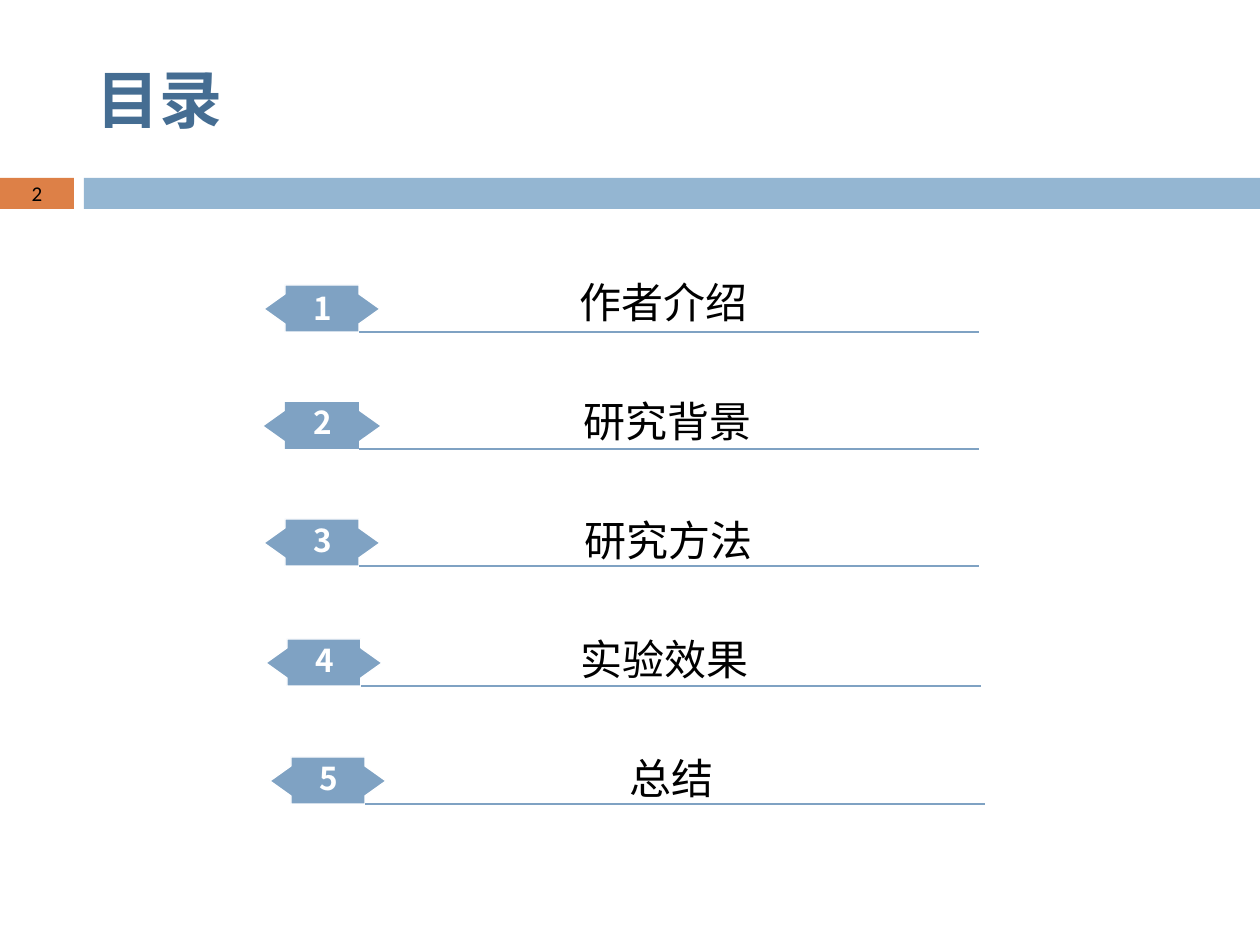
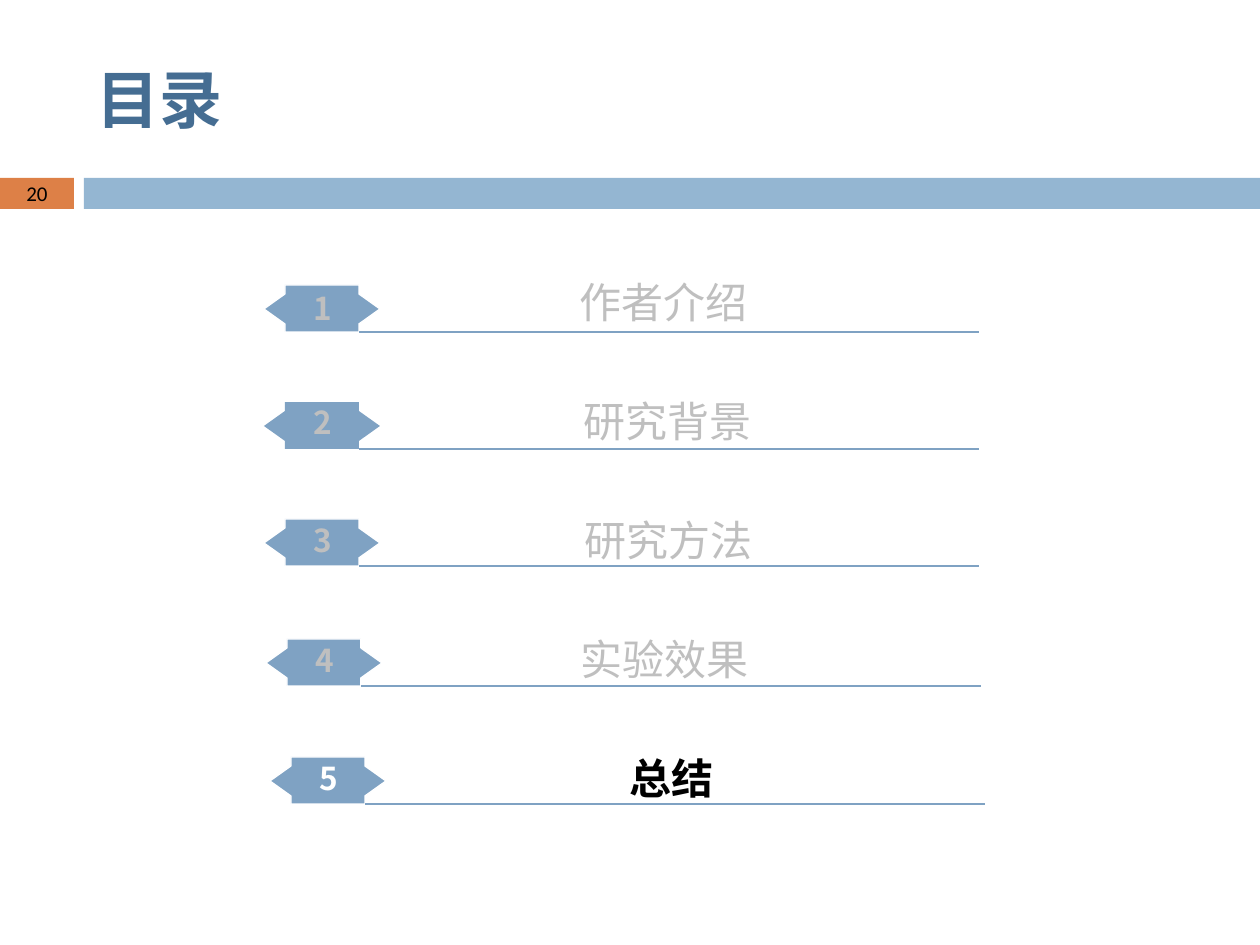
from dataclasses import dataclass

from lxml.etree import SubElement
from pptx import Presentation
from pptx.dml.color import RGBColor
from pptx.enum.shapes import MSO_CONNECTOR, MSO_SHAPE
from pptx.enum.text import MSO_ANCHOR, MSO_AUTO_SIZE, PP_ALIGN
from pptx.oxml.ns import qn
from pptx.slide import Slide
from pptx.text.text import TextFrame
from pptx.util import Emu, Pt

PX = 914400 / 126
PAGE_WIDTH, PAGE_HEIGHT = 1260, 945

WHITE = RGBColor(0xFF, 0xFF, 0xFF)
BLACK = RGBColor(0x00, 0x00, 0x00)
FADED = RGBColor(0xBF, 0xBF, 0xBF)
ORANGE = RGBColor(0xDD, 0x80, 0x47)
BAND_BLUE = RGBColor(0x94, 0xB6, 0xD2)
TAG_BLUE = RGBColor(0x7F, 0xA2, 0xC3)
TITLE_BLUE = RGBColor(0x45, 0x6D, 0x92)

CJK_FONT = "Noto Sans CJK SC"
NUMBER_FONT = "Calibri"

TAG_OUTLINE = [(95, 0), (21, 0), (21, 9), (0, 24), (21, 39), (21, 47),
               (95, 47), (95, 39), (116, 24), (95, 9)]
RULE_START, RULE_LENGTH, RULE_DROP = 95, 620, 47
LABEL_TOP, LABEL_PITCH = 270, 119


@dataclass(frozen=True)
class Area:
    left: int
    top: int
    width: int
    height: int

    def emu(self) -> list[Emu]:
        return [px(n) for n in (self.left, self.top, self.width, self.height)]


@dataclass(frozen=True)
class TextStyle:
    size: int
    color: RGBColor
    bold: bool = False
    font: str = CJK_FONT
    align: PP_ALIGN = PP_ALIGN.CENTER


@dataclass(frozen=True)
class Topic:
    label: str
    tag_left: int
    tag_top: int
    number_top: int
    label_left: int
    outlined: bool = True


@dataclass(frozen=True)
class Agenda:
    page_number: int
    current: int | None = None


TITLE_AREA = Area(84, 30, 1124, 136)
NUMBER_AREA = Area(0, 178, 74, 31)
BAND_AREA = Area(84, 178, 1176, 31)

TOPICS = [
    Topic("作者介绍", 264, 285, 278, 355),
    Topic("研究背景", 264, 402, 392, 359, outlined=False),
    Topic("研究方法", 264, 519, 510, 360),
    Topic("实验效果", 266, 639, 630, 356),
    Topic("总结", 270, 757, 748, 363),
]
AGENDAS = [Agenda(2), Agenda(20, current=5)]


def px(length: int) -> Emu:
    return Emu(round(length * PX))


def write(frame: TextFrame, text: str, style: TextStyle) -> None:
    frame.text = text
    para = frame.paragraphs[0]
    para.alignment = style.align
    span = para.runs[0]
    span.font.size = Pt(style.size)
    span.font.bold = style.bold
    span.font.color.rgb = style.color
    span.font.name = style.font
    SubElement(span.font._element, qn("a:ea")).set("typeface", style.font)


def add_text(page: Slide, area: Area, text: str, style: TextStyle,
             anchor: MSO_ANCHOR = MSO_ANCHOR.MIDDLE, wrap: bool = True,
             grow: bool = False) -> None:
    frame = page.shapes.add_textbox(*area.emu()).text_frame
    write(frame, text, style)
    frame.word_wrap = wrap
    frame.vertical_anchor = anchor
    frame.auto_size = (MSO_AUTO_SIZE.SHAPE_TO_FIT_TEXT if grow
                       else MSO_AUTO_SIZE.NONE)


def add_band(page: Slide, area: Area, color: RGBColor) -> None:
    band = page.shapes.add_shape(MSO_SHAPE.RECTANGLE, *area.emu())
    band.shadow.inherit = False
    band.fill.solid()
    band.fill.fore_color.rgb = color
    band.line.fill.background()


def add_header(page: Slide, title: str, page_number: int) -> None:
    add_band(page, NUMBER_AREA, ORANGE)
    add_band(page, BAND_AREA, BAND_BLUE)
    heading = page.shapes.title
    heading.left, heading.top, heading.width, heading.height = TITLE_AREA.emu()
    frame = heading.text_frame
    write(frame, title, TextStyle(36, TITLE_BLUE, True, align=PP_ALIGN.LEFT))
    frame.vertical_anchor = MSO_ANCHOR.MIDDLE
    frame.auto_size = MSO_AUTO_SIZE.NONE
    add_text(page, NUMBER_AREA, str(page_number),
             TextStyle(12, BLACK, font=NUMBER_FONT))


def add_tag(page: Slide, topic: Topic) -> None:
    points = [(topic.tag_left + x, topic.tag_top + y) for x, y in TAG_OUTLINE]
    builder = page.shapes.build_freeform(*points[0], scale=PX)
    builder.add_line_segments(points[1:], close=True)
    tag = builder.convert_to_shape()
    tag.shadow.inherit = False
    tag.fill.solid()
    tag.fill.fore_color.rgb = TAG_BLUE
    if topic.outlined:
        tag.line.color.rgb = WHITE
        tag.line.width = Pt(0.75)
    else:
        tag.line.fill.background()


def add_rule(page: Slide, topic: Topic) -> None:
    start = topic.tag_left + RULE_START
    level = px(topic.tag_top + RULE_DROP)
    rule = page.shapes.add_connector(MSO_CONNECTOR.STRAIGHT, px(start), level,
                                     px(start + RULE_LENGTH), level)
    rule.line.color.rgb = TAG_BLUE
    rule.line.width = Pt(1.5)
    SubElement(rule._element.spPr, qn("a:effectLst"))


def add_topic(page: Slide, number: int, topic: Topic,
              current: int | None) -> None:
    faded = current is not None and number != current
    add_tag(page, topic)
    add_text(page, Area(topic.tag_left + 32, topic.number_top, 53, 60),
             str(number), TextStyle(18, FADED if faded else WHITE, True),
             wrap=False)
    add_rule(page, topic)
    label_top = LABEL_TOP + (number - 1) * LABEL_PITCH
    add_text(page, Area(topic.label_left, label_top, 617, 63), topic.label,
             TextStyle(24, FADED if faded else BLACK, number == current),
             anchor=MSO_ANCHOR.TOP, grow=True)


def main() -> None:
    deck = Presentation()
    deck.slide_width, deck.slide_height = px(PAGE_WIDTH), px(PAGE_HEIGHT)
    title_only = deck.slide_layouts.get_by_name("Title Only")
    for agenda in AGENDAS:
        page = deck.slides.add_slide(title_only)
        add_header(page, "目录", agenda.page_number)
        for number, topic in enumerate(TOPICS, start=1):
            add_topic(page, number, topic, agenda.current)
    deck.save("out.pptx")


if __name__ == "__main__":
    main()
